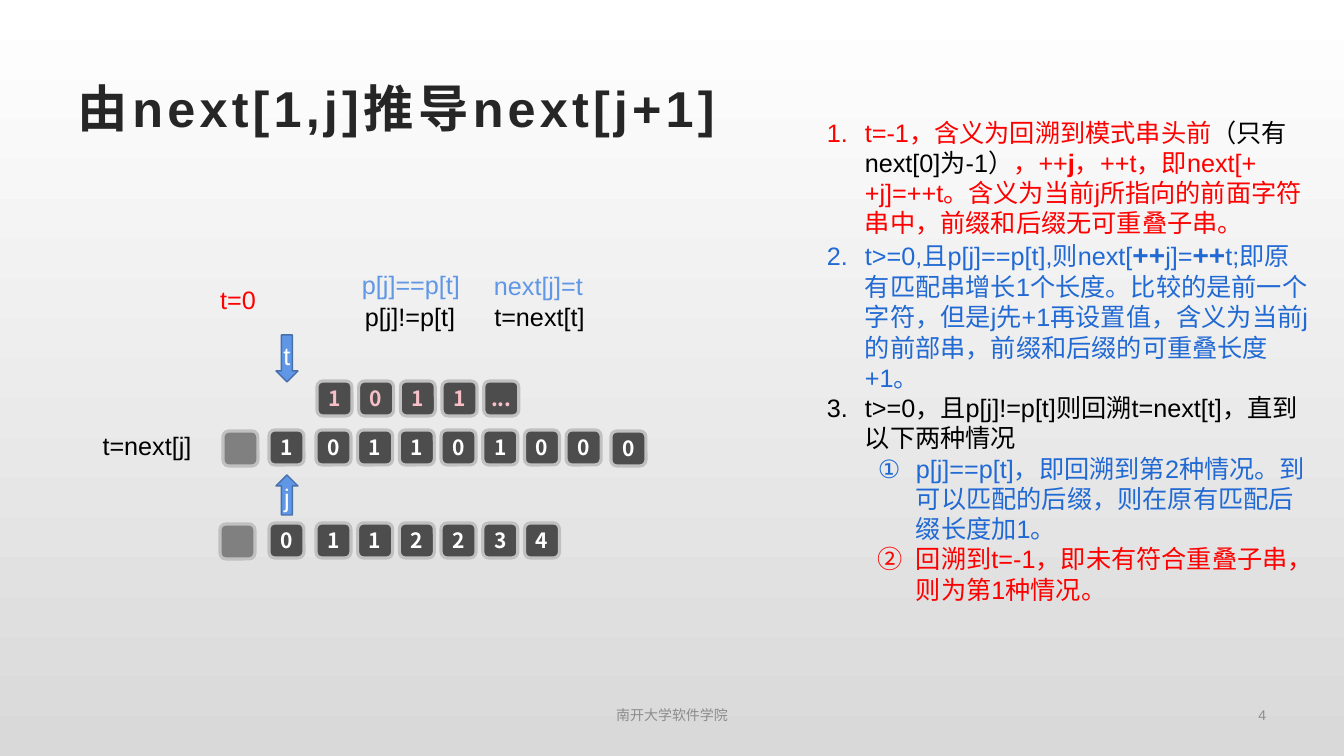
from lxml.etree import SubElement
from pptx import Presentation
from pptx.dml.color import RGBColor
from pptx.enum.lang import MSO_LANGUAGE_ID as Lang
from pptx.enum.shapes import MSO_SHAPE as Preset
from pptx.enum.text import MSO_ANCHOR as Anchor, PP_ALIGN as Align
from pptx.oxml.ns import qn
from pptx.util import Emu, Pt

WHITE = RGBColor(0xFF, 0xFF, 0xFF)
BLACK = RGBColor(0, 0, 0)
RED = RGBColor(0xFF, 0, 0)
BLUE = RGBColor(0x21, 0x69, 0xD3)
SKY = RGBColor(0x60, 0x96, 0xE6)
NAVY = RGBColor(0x47, 0x6F, 0xAA)
PINK = RGBColor(0xF7, 0xBF, 0xC7)
INK = RGBColor(0x26, 0x26, 0x26)
DARK = RGBColor(0x4D, 0x4D, 0x4D)
MID = RGBColor(0x80, 0x80, 0x80)
SILVER = RGBColor(0xC0, 0xC0, 0xC0)
MUTED = RGBColor(0x8C, 0x8C, 0x8C)
PALE = RGBColor(0xD9, 0xD9, 0xD9)
LATIN, CJK = "Arial", "Noto Sans CJK SC"

TITLE = ("由next[1,j]推导next[j+1]", (68, 68, 1210, 78))
LABELS = [
    ("t=next[j]", (75, 425, 144, 40), BLACK, Align.CENTER),
    ("t=0", (198, 279, 80, 40), RED, Align.CENTER),
    ("p[j]==p[t]", (352, 264, 118, 40), SKY, Align.LEFT),
    ("p[j]!=p[t]", (355, 296, 111, 40), BLACK, Align.LEFT),
    ("t=next[t]", (477, 296, 125, 40), BLACK, Align.CENTER),
    ("next[j]=t", (484, 265, 109, 40), SKY, Align.LEFT),
]
FOOTERS = [
    ("4", (979, 697, 297, 35), Align.RIGHT),
    ("南开大学软件学院", (454, 697, 436, 35), Align.CENTER),
]
ARROWS = [
    ("j", Preset.UP_ARROW, (276, 475, 22, 40)),
    ("t", Preset.DOWN_ARROW, (276, 335, 22, 47)),
]
CELL_ROWS = [
    (316, 430, ["0", "1", "1", "0", "1", "0", "0"], WHITE),
    (316, 523, ["1", "1", "2", "2", "3", "4"], WHITE),
    (317, 381, ["1", "0", "1", "1", "..."], PINK),
]
LONE_CELLS = [
    (269, 430, "1", DARK),
    (269, 523, "0", DARK),
    (611, 431, "0", DARK),
    (220, 524, "", MID),
    (223, 431, "", MID),
]
CELL, PITCH = 35, 41.7

CASES_BOX = (817, 112, 501, 502)
MAIN, SUB = (0, 38, "arabicPeriod"), (1, 89, "circleNumDbPlain")
HANGING = 38
CASES = [
    (MAIN, [
        ("t=-1，含义为回溯到模式串头前", RED, False),
        ("（只有next[0]为-1）", BLACK, False),
        ("，++", RED, False),
        ("j", RED, True),
        ("，++t，即next[++j]=++t。含义为当前j所指向的前面字符串中，前缀和后缀无可重叠子串。", RED, False),
    ]),
    (MAIN, [
        ("t>=0,且p[j]==p[t],则next[", BLUE, False),
        ("++", BLUE, True),
        ("j]=", BLUE, False),
        ("++", BLUE, True),
        ("t;即原有匹配串增长1个长度。比较的是前一个字符，但是j先+1再设置值，含义为当前j的前部串，前缀和后缀的可重叠长度+1。", BLUE, False),
    ]),
    (MAIN, [("t>=0，且p[j]!=p[t]则回溯t=next[t]，直到以下两种情况", BLACK, False)]),
    (SUB, [("p[j]==p[t]，即回溯到第2种情况。到可以匹配的后缀，则在原有匹配后缀长度加1。", BLUE, False)]),
    (SUB, [("回溯到t=-1，即未有符合重叠子串，则为第1种情况。", RED, False)]),
]


def px(length):
    return Emu(round(length * 914400 / 100.8))


def style(paragraph, size, color, latin=LATIN, bold=False, align=Align.LEFT):
    paragraph.alignment = align
    font = paragraph.font
    font.size, font.bold, font.name = Pt(size), bold, latin
    font.color.rgb = color
    font.language_id = Lang.SIMPLIFIED_CHINESE
    defaults = paragraph._p.pPr.find(qn("a:defRPr"))
    SubElement(defaults, qn("a:ea")).set("typeface", CJK)
    return defaults


def add_text(box, text, size, color, align=Align.LEFT, anchor=Anchor.TOP, bold=False):
    frame = slide.shapes.add_textbox(*map(px, box)).text_frame
    frame.word_wrap = True
    frame.vertical_anchor = anchor
    paragraph = frame.paragraphs[0]
    paragraph.text = text
    return style(paragraph, size, color, bold=bold, align=align)


def add_block(parent, preset, box, fill, edge, edge_width):
    block = parent.add_shape(preset, *map(px, box))
    block.shadow.inherit = False
    block.fill.solid()
    block.fill.fore_color.rgb = fill
    block.line.color.rgb = edge
    block.line.width = Pt(edge_width)
    frame = block.text_frame
    frame.margin_left = frame.margin_right = frame.margin_top = frame.margin_bottom = 0
    frame.word_wrap = False
    frame.vertical_anchor = Anchor.MIDDLE
    return block


def add_cell(parent, left, top, digit, fill, color=WHITE):
    cell = add_block(parent, Preset.ROUNDED_RECTANGLE, (left, top, CELL, CELL), fill, SILVER, 2.25)
    if digit:
        paragraph = cell.text_frame.paragraphs[0]
        paragraph.text = digit
        style(paragraph, 15, color, CJK, True, Align.CENTER)


def add_cases():
    frame = slide.shapes.add_textbox(*map(px, CASES_BOX)).text_frame
    frame.word_wrap = True
    for index, ((level, margin, numbering), runs) in enumerate(CASES):
        paragraph = frame.add_paragraph() if index else frame.paragraphs[0]
        paragraph.level = level
        properties = paragraph._p.get_or_add_pPr()
        properties.set("marL", str(px(margin)))
        properties.set("indent", str(-px(HANGING)))
        SubElement(properties, qn("a:buFont")).set("typeface", LATIN)
        SubElement(properties, qn("a:buAutoNum")).set("type", numbering)
        style(paragraph, 18, runs[0][1])
        for text, color, bold in runs:
            run = paragraph.add_run()
            run.text = text
            run.font.color.rgb = color
            run.font.bold = bold
            run.font.size = Pt(20 if text == "++" else 18)


deck = Presentation()
deck.slide_width, deck.slide_height = px(1344), px(756)
slide = deck.slides.add_slide(deck.slide_layouts[6])

backdrop = slide.background.fill
backdrop.gradient()
backdrop.gradient_angle = 270
for stop, position, color in zip(backdrop.gradient_stops, (0, 1), (WHITE, PALE)):
    stop.position = position
    stop.color.rgb = color

title_text, title_box = TITLE
add_text(title_box, title_text, 36, INK, anchor=Anchor.MIDDLE, bold=True).set("spc", "300")

for left, top, digits, color in CELL_ROWS:
    parent = slide.shapes.add_group_shape().shapes if color == PINK else slide.shapes
    for column, digit in enumerate(digits):
        add_cell(parent, left + column * PITCH, top, digit, DARK, color)
for left, top, digit, fill in LONE_CELLS:
    add_cell(slide.shapes, left, top, digit, fill)

for pointer, preset, box in ARROWS:
    arrow = add_block(slide.shapes, preset, box, SKY, NAVY, 1)
    paragraph = arrow.text_frame.paragraphs[0]
    paragraph.text = pointer
    style(paragraph, 18, WHITE, align=Align.CENTER)

for text, box, color, align in LABELS:
    add_text(box, text, 18, color, align)
add_cases()
for text, box, align in FOOTERS:
    add_text(box, text, 10, MUTED, align, Anchor.MIDDLE)

deck.save("out.pptx")
